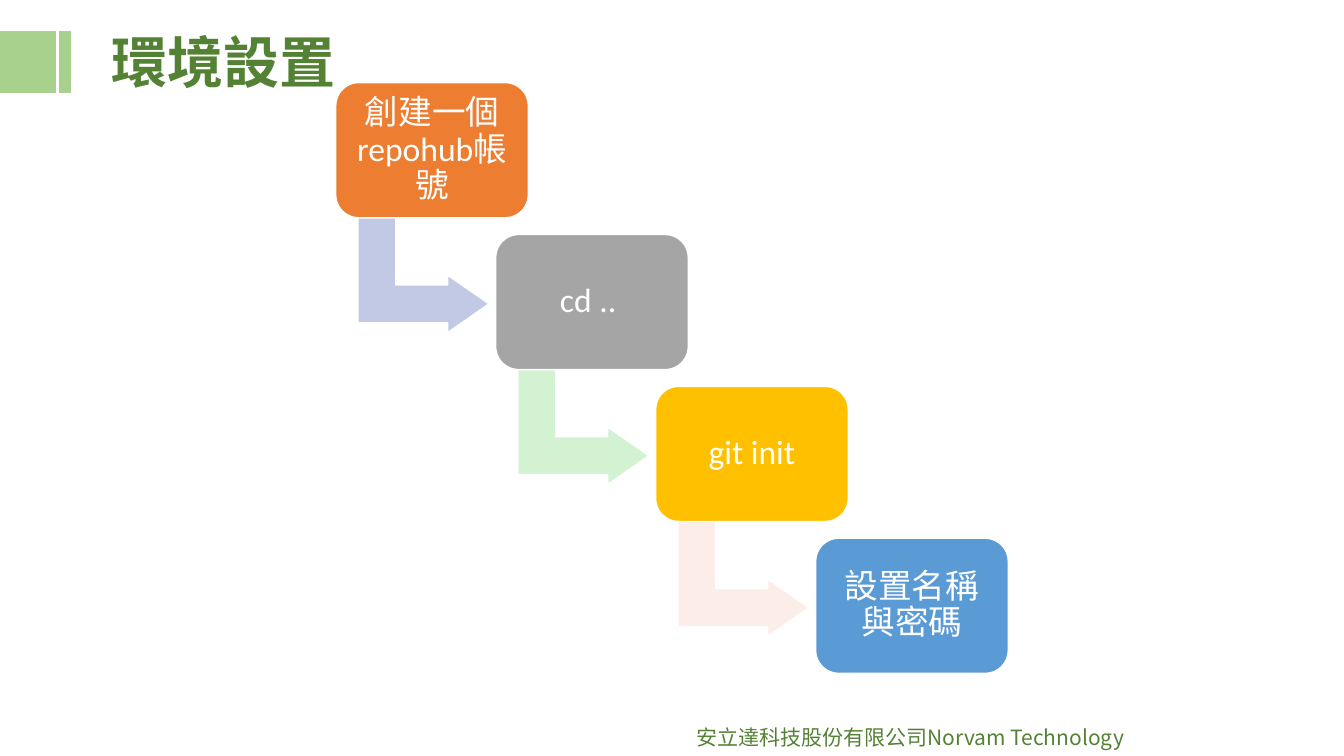
from dataclasses import dataclass

from lxml.etree import SubElement
from pptx import Presentation
from pptx.dml.color import RGBColor
from pptx.enum.shapes import MSO_SHAPE as Preset
from pptx.enum.text import MSO_ANCHOR as Anchor, PP_ALIGN as Align
from pptx.oxml.ns import qn
from pptx.util import Inches, Pt


@dataclass(frozen=True)
class Theme:
    accent: str = "A9D18E"
    heading: str = "548235"
    white: str = "FFFFFF"
    title_size: int = 40
    step_size: int = 24
    footer_size: int = 15
    title_font: str = "Noto Sans CJK TC"
    step_font: str = "Calibri"
    footer_font: str = "Noto Sans CJK SC"


@dataclass(frozen=True)
class Box:
    left: float
    top: float
    width: float
    height: float

    def inches(self):
        return [Inches(side) for side in (self.left, self.top, self.width, self.height)]


THEME = Theme()
SLIDE_WIDTH, SLIDE_HEIGHT = 13.33, 7.5
STEPS = [
    ("創建一個repohub帳號", "ED7D31", "C1C9E4"),
    ("cd .. ", "A5A5A5", "D2F2D2"),
    ("git init", "FFC000", "FCEDE8"),
    ("設置名稱與密碼", "5B9BD5", None),
]
STEP_WIDTH, STEP_HEIGHT = 1.91, 1.34
ARROW_WIDTH, ARROW_HEIGHT = 1.14, 1.3


def set_attributes(target, values):
    for name, value in values.items():
        setattr(target, name, value)


def write_text(frame, text, font_name, size, color, bold=False, align=Align.LEFT, spacing=1.0):
    paragraph = frame.paragraphs[0]
    set_attributes(paragraph, {"alignment": align, "line_spacing": spacing})
    run = paragraph.add_run()
    run.text = text
    set_attributes(run.font, {"name": font_name, "size": Pt(size), "bold": bold})
    run.font.color.rgb = RGBColor.from_string(color)
    if font_name != THEME.step_font:
        SubElement(run.font._element, qn("a:ea")).set("typeface", font_name)


def add_block(slide, preset, box, fill, line, adjustments=()):
    shape = slide.shapes.add_shape(preset, *box.inches())
    shape.shadow.inherit = False
    shape.fill.solid()
    shape.fill.fore_color.rgb = RGBColor.from_string(fill)
    shape.line.color.rgb = RGBColor.from_string(line)
    shape.line.width = Pt(1)
    for index, value in enumerate(adjustments):
        shape.adjustments[index] = value
    return shape


def add_header_bars(slide, box):
    for start, share in ((0, 0.79), (0.84, 0.16)):
        bar = Box(box.left + start * box.width, box.top, share * box.width, box.height)
        add_block(slide, Preset.RECTANGLE, bar, THEME.accent, THEME.accent)


def add_title(slide, box, text):
    title = slide.shapes.title
    set_attributes(title, dict(zip(("left", "top", "width", "height"), box.inches())))
    title.text_frame.vertical_anchor = Anchor.MIDDLE
    write_text(title.text_frame, text, THEME.title_font, THEME.title_size,
               THEME.heading, bold=True, spacing=0.9)


def add_cascade(slide, box, steps):
    gaps = len(steps) - 1
    column = (box.width - STEP_WIDTH) / gaps
    row = (box.height - STEP_HEIGHT) / gaps
    for index, (text, fill, arrow_fill) in enumerate(steps):
        left, top = box.left + index * column, box.top + index * row
        if arrow_fill:
            arrow_box = Box(left + 0.3, top + 1.26, ARROW_WIDTH, ARROW_HEIGHT)
            arrow = add_block(slide, Preset.BENT_UP_ARROW, arrow_box, arrow_fill,
                              THEME.white, (0.33, 0.25, 0.36))
            arrow.rotation = 90
        card = add_block(slide, Preset.ROUNDED_RECTANGLE,
                         Box(left, top, STEP_WIDTH, STEP_HEIGHT), fill, THEME.white, (0.17,))
        margins = {f"margin_{side}": Inches(0.1) for side in ("left", "top", "right", "bottom")}
        set_attributes(card.text_frame,
                       {"word_wrap": True, "vertical_anchor": Anchor.MIDDLE, **margins})
        write_text(card.text_frame, text, THEME.step_font, THEME.step_size,
                   THEME.white, align=Align.CENTER, spacing=0.9)


def add_footer(slide, box, text):
    footer = slide.shapes.add_textbox(*box.inches())
    footer.text_frame.word_wrap = False
    write_text(footer.text_frame, text, THEME.footer_font, THEME.footer_size, THEME.heading)


def main():
    presentation = Presentation()
    set_attributes(presentation, {"slide_width": Inches(SLIDE_WIDTH),
                                  "slide_height": Inches(SLIDE_HEIGHT)})
    slide = presentation.slides.add_slide(presentation.slide_layouts[5])
    add_header_bars(slide, Box(0, 0.31, 0.7, 0.61))
    add_title(slide, Box(1.01, 0.23, 11.3, 0.84), "環境設置")
    add_cascade(slide, Box(3.33, 0.82, 6.67, 5.86), STEPS)
    add_footer(slide, Box(6.81, 7.14, 4.53, 0.35), "安立達科技股份有限公司Norvam Technology")
    presentation.save("out.pptx")


if __name__ == "__main__":
    main()
